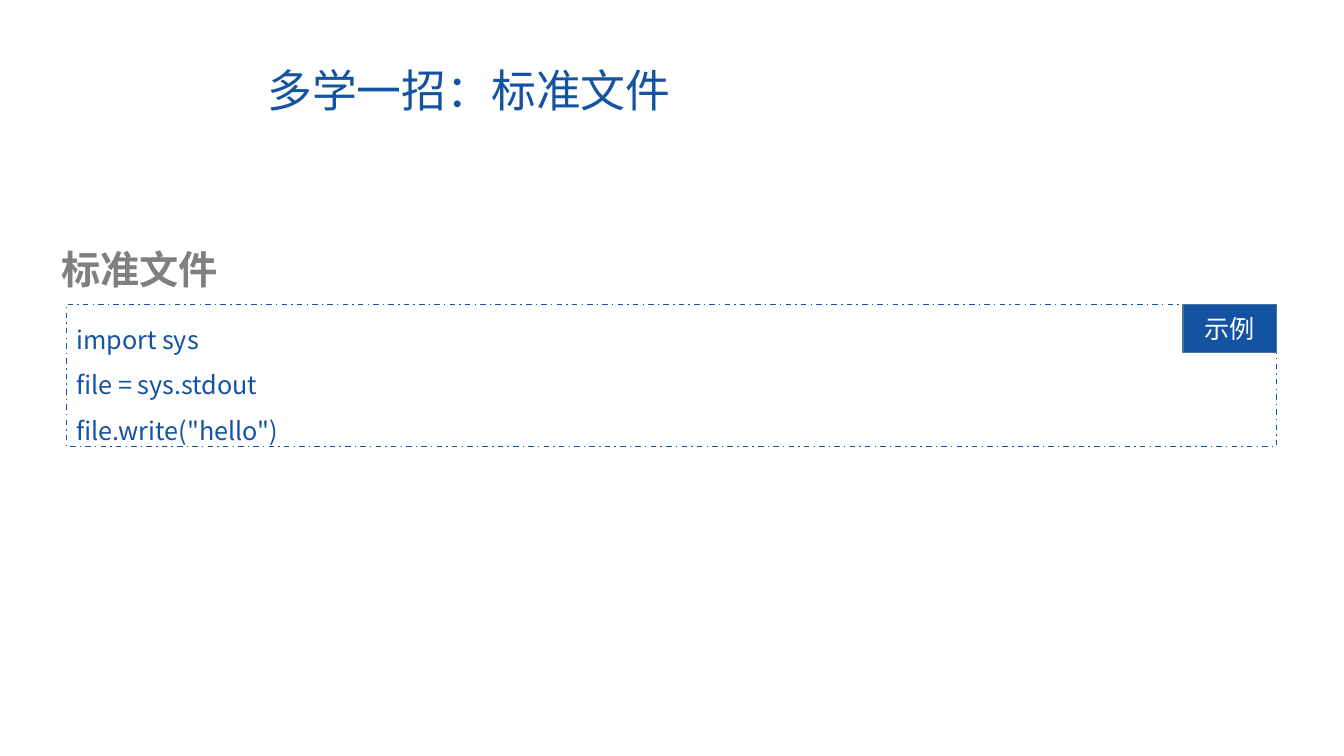
from lxml import etree
from pptx import Presentation
from pptx.dml.color import RGBColor
from pptx.enum.dml import MSO_LINE
from pptx.enum.shapes import MSO_SHAPE
from pptx.enum.text import MSO_ANCHOR, PP_ALIGN
from pptx.oxml.ns import qn
from pptx.util import Cm, Pt

RECTANGLE = MSO_SHAPE.RECTANGLE
DASH_DOT = MSO_LINE.DASH_DOT
TOP, MIDDLE = MSO_ANCHOR.TOP, MSO_ANCHOR.MIDDLE
LEFT, CENTER = PP_ALIGN.LEFT, PP_ALIGN.CENTER

TITLE = "多学一招：标准文件"
HEADING = "标准文件"
CODE = ["import sys", "file = sys.stdout", 'file.write("hello")']
LABEL = "示例"

FONT = "Noto Sans CJK SC"
COLORS = {"blue": "1353A2", "gray": "808080", "white": "FFFFFF", "edge": "43739E"}

CODE_LEFT, CODE_TOP, CODE_WIDTH, CODE_HEIGHT = 1.67, 7.67, 30.5, 3.58
LABEL_WIDTH, LABEL_HEIGHT = 2.36, 1.22


def color(name):
    return RGBColor.from_string(COLORS[name])


def write(box, lines, size, ink, spacing=1.0, bold=False, align=LEFT, anchor=TOP):
    frame = box.text_frame
    frame.word_wrap = True
    frame.vertical_anchor = anchor
    frame.text = "\n".join(lines)
    for para in frame.paragraphs:
        para.alignment = align
        para.line_spacing = spacing
        para.font.size = Pt(size)
        para.font.bold = bold
        para.font.name = FONT
        para.font.color.rgb = color(ink)
        for span in para.runs:
            # East Asian text takes its typeface from a separate element
            properties = span.font._element
            etree.SubElement(properties, qn("a:ea")).set("typeface", FONT)


def add_rectangle(slide, left, top, width, height, edge, fill=None):
    box = slide.shapes.add_shape(RECTANGLE, Cm(left), Cm(top), Cm(width), Cm(height))
    box.shadow.inherit = False
    box.line.color.rgb = color(edge)
    box.line.width = Pt(1)
    if fill:
        box.fill.solid()
        box.fill.fore_color.rgb = color(fill)
    else:
        box.fill.background()
    return box


def main():
    deck = Presentation()
    deck.slide_width, deck.slide_height = Cm(33.87), Cm(19.05)
    slide = deck.slides.add_slide(deck.slide_layouts[5])

    title = slide.shapes.title
    title.left, title.top, title.width, title.height = Cm(6.48), Cm(1.6), Cm(23.22), Cm(1.5)
    write(title, [TITLE], 32, "blue", spacing=0.9, anchor=MIDDLE)

    heading = slide.shapes.add_textbox(Cm(1.3), Cm(5.46), Cm(15.8), Cm(1.83))
    write(heading, [HEADING], 28, "gray", spacing=1.5, bold=True)

    code = add_rectangle(slide, CODE_LEFT, CODE_TOP, CODE_WIDTH, CODE_HEIGHT, "blue")
    code.line.dash_style = DASH_DOT
    write(code, CODE, 18, "blue", spacing=1.5)

    label_left = CODE_LEFT + CODE_WIDTH - LABEL_WIDTH
    label = add_rectangle(slide, label_left, CODE_TOP, LABEL_WIDTH, LABEL_HEIGHT, "edge", "blue")
    write(label, [LABEL], 18, "white", align=CENTER, anchor=MIDDLE)

    deck.save("out.pptx")


if __name__ == "__main__":
    main()
